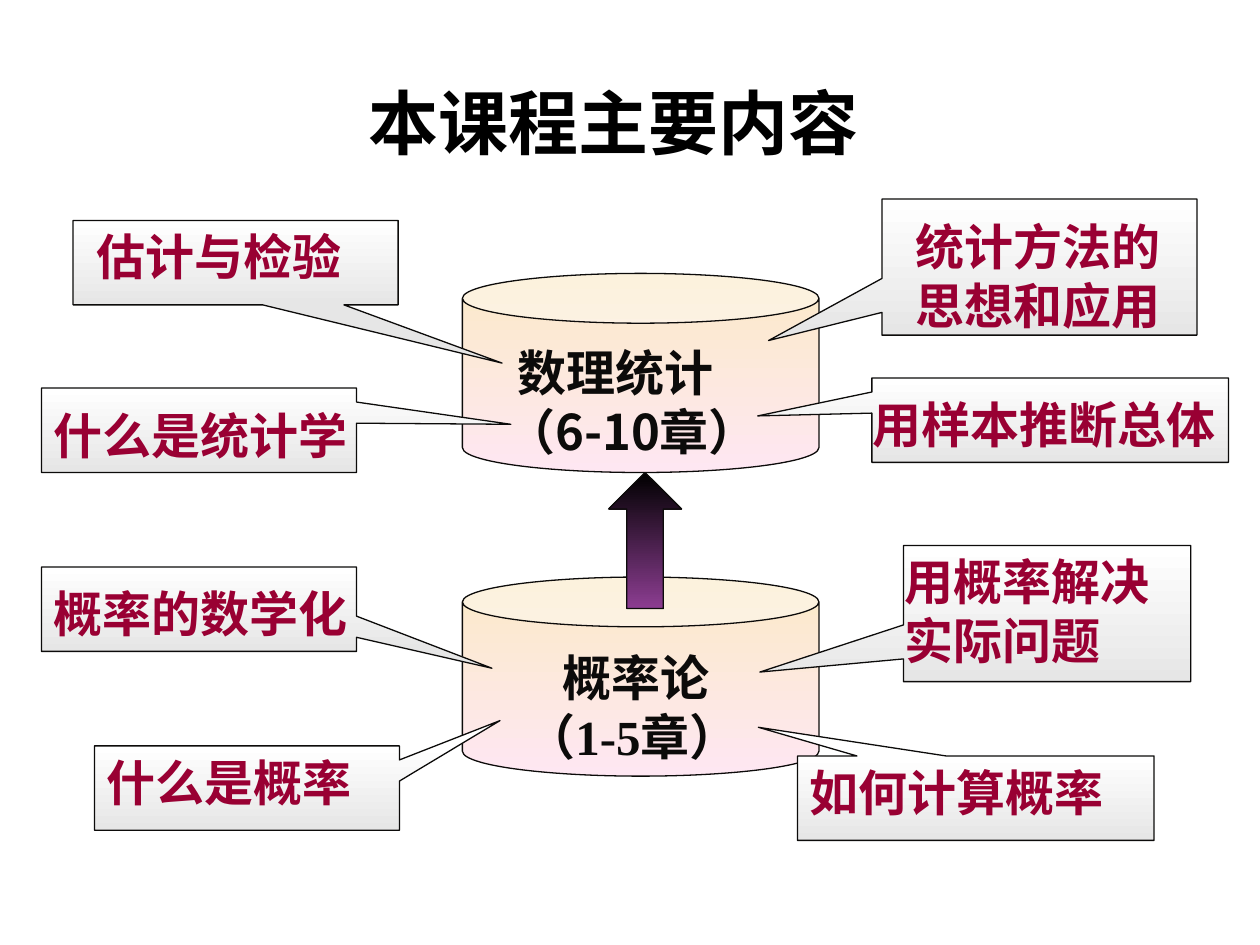
import pptx
import pptx.util
import pptx.dml.color
import pptx.enum.shapes
import pptx.oxml.ns
from lxml import etree

Inches = pptx.util.Inches
Pt = pptx.util.Pt
RGB = pptx.dml.color.RGBColor
KIND = pptx.enum.shapes.MSO_SHAPE

HEX = {
    "ink": "0C0B0A", "black": "000000", "red": "990033",
    "cream": "FBEAC7", "pink": "FEE7F2", "purple": "8C3D91",
    "white": "FFFFFF", "gray": "E6E6E6",
}
SERIF, SANS = "Times New Roman", "Noto Sans CJK SC"

deck = pptx.Presentation()
deck.slide_width, deck.slide_height = Inches(10), Inches(7.5)
slide = deck.slides.add_slide(deck.slide_layouts[6])


def add_text(text, at, size=28, font=SERIF, color="red", indent=0):
    """Add a bold text box; indent moves the first paragraph only."""
    box = slide.shapes.add_textbox(*map(Inches, at))
    frame = box.text_frame
    frame.word_wrap = True
    frame.text = text
    if indent:
        frame.paragraphs[0]._p.get_or_add_pPr().set("marL", str(Inches(indent)))
    for para in frame.paragraphs:
        for run in para.runs:
            run.font.name, run.font.size, run.font.bold = font, Pt(size), True
            run.font.color.rgb = RGB.from_string(HEX[color])


def add_form(kind, at, top, bottom, adjust):
    """Add a thinly outlined shape with a vertical gradient."""
    form = slide.shapes.add_shape(kind, *map(Inches, at))
    form.shadow.inherit = False
    form.fill.gradient()
    form.fill.gradient_angle = 270
    for stop, name, place in zip(form.fill.gradient_stops, (top, bottom), (0, 1)):
        stop.color.rgb = RGB.from_string(HEX[name])
        stop.position = place
    form.line.color.rgb = RGB.from_string(HEX["ink"])
    form.line.width = Pt(0.75)
    for i, value in enumerate(adjust):
        form.adjustments[i] = value


# Two cylinders with the arrow between them
add_form(KIND.CAN, (3.67, 4.58, 2.83, 1.58), "cream", "pink", [0.25])
add_form(KIND.UP_ARROW, (4.83, 3.75, 0.58, 1.08), "black", "purple", [0.5, 0.5])
add_form(KIND.CAN, (3.67, 2.17, 2.83, 1.58), "cream", "pink", [0.25])
add_text("概率论\n（1-5章）", (4.08, 5.09, 2.16, 1.04), color="ink", indent=0.29)
add_text("数理统计\n（6-10章）", (3.92, 2.67, 2.48, 1.04), font=SANS, color="ink",
         indent=0.09)

# Callouts: label, frame, pointer tip, text left, top and width
notes = [
    ("什么是概率", (0.75, 5.92, 2.42, 0.67), (0.83, -0.8), (0.75, 5.92, 2.5)),
    ("如何计算概率", (6.33, 6, 2.83, 0.67), (-0.61, -0.84), (6.33, 6, 3.17)),
    ("用概率解决实际问题", (7.17, 4.33, 2.28, 1.08), (-1, 0.43), (7.08, 4.33, 2.5)),
    ("概率的数学化", (0.33, 4.5, 2.5, 0.67), (0.93, 0.7), (0.33, 4.58, 2.67)),
    ("什么是统计学", (0.33, 3.08, 2.5, 0.67), (0.99, -0.07), (0.33, 3.17, 2.83)),
    ("用样本推断总体", (6.92, 3, 2.83, 0.67), (-0.82, -0.05), (6.83, 3.08, 3.17)),
    ("估计与检验", (0.58, 1.75, 2.58, 0.67), (0.82, 1.19), (0.67, 1.75, 2.83)),
    ("统计方法的思想和应用", (7, 1.58, 2.5, 1.08), (-0.86, 0.54), (7.17, 1.67, 2.5)),
]
for label, frame, tip, place in notes:
    add_form(KIND.RECTANGULAR_CALLOUT, frame, "white", "gray", tip)
    tall = 1.04 if frame[3] > 1 else 0.57
    add_text(label, (*place, tall))

# Title
add_text("本课程主要内容", (2.83, 0.58, 4.58, 0.77), size=40, font=SANS, color="black")

deck.save("out.pptx")
